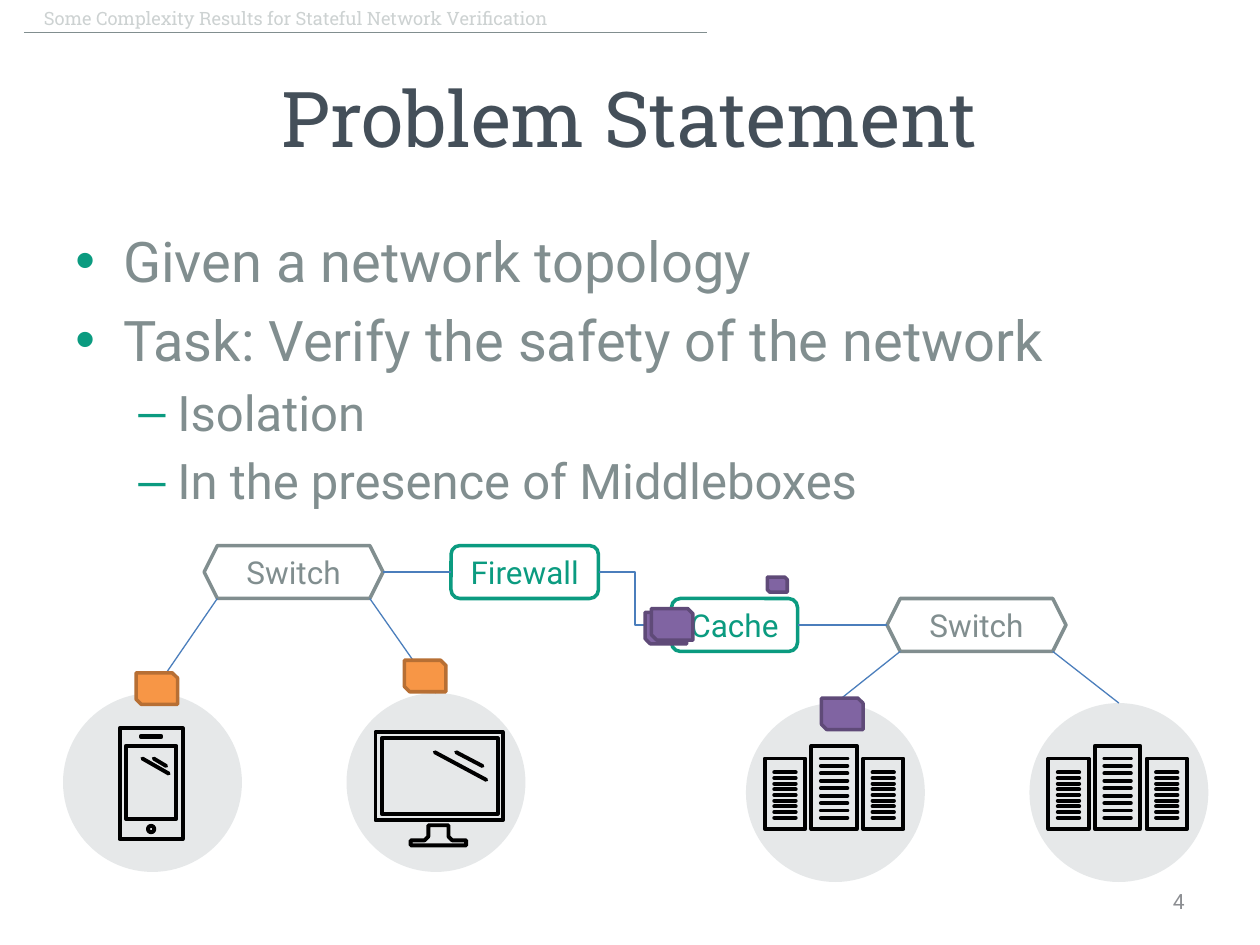
from math import cos, pi, sin

from lxml.etree import SubElement
from pptx import Presentation
from pptx.dml.color import RGBColor
from pptx.enum.shapes import MSO_CONNECTOR, MSO_SHAPE
from pptx.enum.text import MSO_ANCHOR, PP_ALIGN
from pptx.oxml.ns import qn
from pptx.util import Inches, Pt

GREY, GREEN, BLUE, BLACK = "818E8F", "0B9B80", "4B7EBC", "000000"
ORANGE, PURPLE = ("F79646", "B76F34"), ("8064A2", "5F4A78")

HEADER = "Some Complexity Results for Stateful Network Veriﬁcation"
TITLE = "Problem Statement"
BULLETS = [
    (0, "Given a network topology"),
    (0, "Task: Verify the safety of the network"),
    (1, "Isolation"),
    (1, "In the presence of Middleboxes"),
]
# Per level: bullet, text size, left margin, hanging indent
LEVELS = [("•", 32, 0.38, -0.38), ("–", 28, 0.81, -0.31)]

DISC = 1.42
NODE_HEIGHT = 0.42
PHONE_AT, MONITOR_AT = (0.5, 5.5), (2.75, 5.5)
SERVERS_AT = [(5.92, 5.58), (8.17, 5.58)]
# Label, left, top, width, preset, colour
NODES = {
    "left switch": ("Switch", 1.62, 4.33, 1.42, MSO_SHAPE.HEXAGON, GREY),
    "right switch": ("Switch", 7.04, 4.75, 1.42, MSO_SHAPE.HEXAGON, GREY),
    "firewall": ("Firewall", 3.58, 4.33, 1.17, MSO_SHAPE.ROUNDED_RECTANGLE, GREEN),
    "cache": ("Cache", 5.33, 4.75, 1.0, MSO_SHAPE.ROUNDED_RECTANGLE, GREEN),
}
# Left, top, scale, colours
PACKETS = [
    (3.21, 5.24, 1, ORANGE), (6.52, 5.54, 1, PURPLE), (1.08, 5.34, 1, ORANGE),
    (5.12, 4.86, 1, PURPLE), (5.17, 4.83, 1, PURPLE), (6.09, 4.58, 0.48, PURPLE),
]
# Server cabinet inside its disc: left, top, width, height, first slot, slot gap
CABINETS = [
    (0.15, 0.44, 0.32, 0.56, 0.55, 0.045),
    (0.93, 0.44, 0.32, 0.56, 0.55, 0.045),
    (0.52, 0.34, 0.36, 0.66, 0.44, 0.059),
]
SLOTS, SLOT_INSET = 9, 0.075

presentation = Presentation()
presentation.slide_width, presentation.slide_height = Inches(10), Inches(7.5)
slide = presentation.slides.add_slide(presentation.slide_layouts[6])
shapes = slide.shapes


def colour(value):
    return RGBColor.from_string(value)


def style(shape, fill=None, line=None, width=2):
    shape.shadow.inherit = False
    if fill:
        shape.fill.solid()
        shape.fill.fore_color.rgb = colour(fill)
    else:
        shape.fill.background()
    if line:
        shape.line.color.rgb = colour(line)
        shape.line.width = Pt(width)
    else:
        shape.line.fill.background()
    return shape


def add_preset(preset, left, top, width, height, **look):
    shape = shapes.add_shape(preset, Inches(left), Inches(top), Inches(width), Inches(height))
    return style(shape, **look)


def round_ends(shape):
    line = shape.element.spPr.get_or_add_ln()
    line.set("cap", "rnd")
    SubElement(line, qn("a:round"))


def add_line(start, end, line=BLUE, width=0.75, kind=MSO_CONNECTOR.STRAIGHT):
    connector = shapes.add_connector(kind, *[Inches(value) for value in (*start, *end)])
    connector.line.color.rgb = colour(line)
    connector.line.width = Pt(width)
    SubElement(connector.element.spPr, qn("a:effectLst"))
    return connector


def add_stroke(start, end):
    connector = shapes.add_connector(
        MSO_CONNECTOR.STRAIGHT, *[Inches(value) for value in (*start, *end)])
    connector.line.color.rgb = colour(BLACK)
    connector.line.width = Pt(2.25)
    round_ends(connector)
    SubElement(connector.element.spPr, qn("a:effectLst"))


def add_outline(origin, *contours):
    """Draw contours, given relative to origin; those of two points stay open."""
    placed = [[(Inches(origin[0] + x), Inches(origin[1] + y)) for x, y in contour]
              for contour in contours]
    builder = shapes.build_freeform(*placed[0][0], scale=1.0)
    for index, (first, *others) in enumerate(placed):
        if index:
            builder.move_to(*first)
        builder.add_line_segments(others, close=len(others) > 1)
    round_ends(style(builder.convert_to_shape(), line=BLACK, width=2.25))


def box(left, top, width, height):
    right, bottom = left + width, top + height
    return [(left, top), (right, top), (right, bottom), (left, bottom)]


def circle(x, y, radius, steps=16):
    return [(x + radius * cos(2 * pi * step / steps), y + radius * sin(2 * pi * step / steps))
            for step in range(steps)]


def format_text(paragraph, size, value, font="Roboto", align=PP_ALIGN.LEFT):
    paragraph.alignment = align
    paragraph.font.size = Pt(size)
    paragraph.font.name = font
    paragraph.font.color.rgb = colour(value)


def add_text(text, left, top, width, height, *look, anchor=MSO_ANCHOR.MIDDLE, **options):
    text_box = shapes.add_textbox(Inches(left), Inches(top), Inches(width), Inches(height))
    frame = text_box.text_frame
    frame.word_wrap = True
    frame.vertical_anchor = anchor
    frame.text = text
    if look:
        format_text(frame.paragraphs[0], *look, **options)
    return frame


def add_bullets():
    frame = add_text("\n".join(text for _, text in BULLETS), 0.5, 1.75, 9, 4.95,
                     anchor=MSO_ANCHOR.TOP)
    for index, (paragraph, (level, _)) in enumerate(zip(frame.paragraphs, BULLETS)):
        bullet, size, margin, indent = LEVELS[level]
        paragraph.level = level
        if index:
            paragraph.space_before = Pt(size * 0.2)
        properties = paragraph._p.get_or_add_pPr()
        properties.set("marL", str(Inches(margin)))
        properties.set("indent", str(Inches(indent)))
        SubElement(SubElement(properties, qn("a:buClr")), qn("a:srgbClr"), val=GREEN)
        SubElement(properties, qn("a:buFont"), typeface="Arial")
        SubElement(properties, qn("a:buChar"), char=bullet)
        format_text(paragraph, size, GREY)


def add_disc(at):
    return add_preset(MSO_SHAPE.OVAL, *at, DISC, DISC, fill="E6E8E9")


def add_phone(at):
    disc = add_disc(at)
    add_outline(at, box(0.45, 0.28, 0.5, 0.88), box(0.62, 0.34, 0.16, 0.01),
                circle(0.7, 1.08, 0.025), box(0.5, 0.42, 0.4, 0.58),
                [(0.72, 0.52), (0.82, 0.58)], [(0.63, 0.52), (0.84, 0.64)])
    return disc


def add_monitor(at):
    disc = add_disc(at)
    add_outline(at, box(0.23, 0.31, 1.01, 0.7), box(0.28, 0.36, 0.92, 0.6))
    add_outline(at, [(0.51, 1.17), (0.62, 1.17), (0.65, 1.14), (0.65, 1.05), (0.81, 1.05),
                     (0.81, 1.14), (0.84, 1.17), (0.95, 1.17), (0.95, 1.21), (0.51, 1.21)])
    for start, end in [((0.87, 0.47), (1.08, 0.58)), ((0.7, 0.47), (1.11, 0.69))]:
        add_stroke(*[(at[0] + x, at[1] + y) for x, y in (start, end)])
    return disc


def add_servers(at):
    disc = add_disc(at)
    for left, top, width, height, first, gap in CABINETS:
        add_outline(at, box(left, top, width, height))
        for slot in range(SLOTS):
            y = at[1] + first + slot * gap
            add_stroke((at[0] + left + SLOT_INSET, y), (at[0] + left + width - SLOT_INSET, y))
    return disc


def add_node(label, left, top, width, preset, value):
    shape = add_preset(preset, left, top, width, NODE_HEIGHT, line=value)
    shape.text_frame.text = label
    shape.text_frame.vertical_anchor = MSO_ANCHOR.MIDDLE
    format_text(shape.text_frame.paragraphs[0], 18, value, align=PP_ALIGN.CENTER)
    return shape


add_text(HEADER, 0.25, 0.06, 4.88, 0.17, 10.5, "CDD2D2", font="Roboto Slab")
add_line((0.19, 0.26), (5.61, 0.26), GREY)
add_text(TITLE, 0.5, 0.3, 9, 1.25, 44, "444F59", font="Roboto Slab", align=PP_ALIGN.CENTER)
add_bullets()
add_text("4", 7.17, 6.95, 2.33, 0.4, 12, "8C8E92", align=PP_ALIGN.RIGHT)

left_discs = [add_phone(PHONE_AT), add_monitor(MONITOR_AT)]
right_discs = [add_servers(at) for at in SERVERS_AT]
nodes = {name: add_node(*node) for name, node in NODES.items()}

for name, discs in (("left switch", left_discs), ("right switch", right_discs)):
    _, left, top, width, _, _ = NODES[name]
    corner, bottom = NODE_HEIGHT / 4, top + NODE_HEIGHT
    for x, disc in zip((left + corner, left + width - corner), discs):
        add_line((x, bottom), (x, bottom)).end_connect(disc, 0)

upper, lower = (NODES[name][2] + NODE_HEIGHT / 2 for name in ("firewall", "cache"))
add_line((3.58, upper), (3.04, upper)).begin_connect(nodes["firewall"], 1)
add_line((6.33, lower), (7.04, lower)).begin_connect(nodes["cache"], 3)
bend = add_line((4.75, upper), (5.33, lower), kind=MSO_CONNECTOR.ELBOW)
bend.begin_connect(nodes["firewall"], 3)
bend.end_connect(nodes["cache"], 1)

for left, top, scale, (fill, line) in PACKETS:
    add_preset(MSO_SHAPE.SNIP_2_DIAG_RECTANGLE, left, top, 0.33 * scale, 0.25 * scale,
               fill=fill, line=line)

presentation.save("out.pptx")
